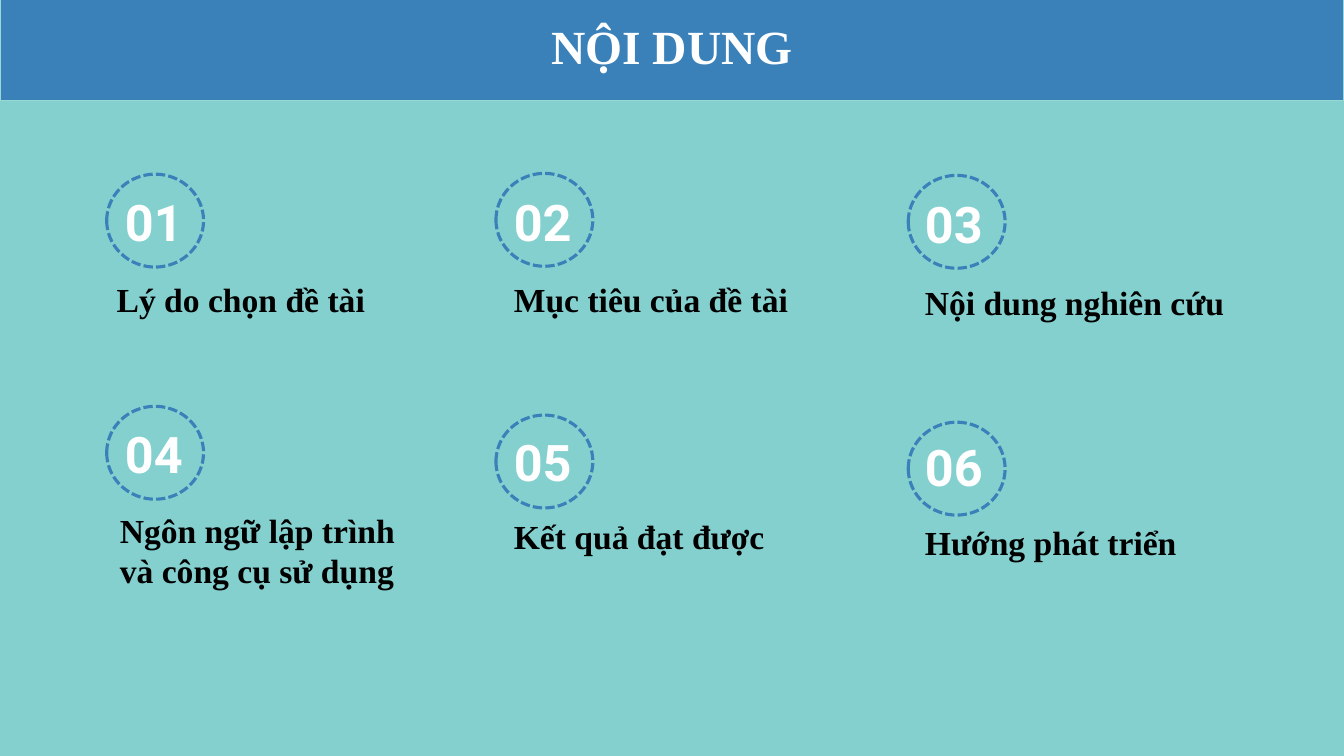
from lxml import etree
from pptx import Presentation
from pptx.dml.color import RGBColor
from pptx.enum.dml import MSO_LINE
from pptx.enum.shapes import MSO_SHAPE
from pptx.enum.text import MSO_ANCHOR, PP_ALIGN
from pptx.oxml.ns import qn
from pptx.util import Cm, Pt

RECTANGLE, OVAL = MSO_SHAPE.RECTANGLE, MSO_SHAPE.OVAL
DASH = MSO_LINE.SQUARE_DOT
TOP, BOTTOM = MSO_ANCHOR.TOP, MSO_ANCHOR.BOTTOM
LEFT, CENTER = PP_ALIGN.LEFT, PP_ALIGN.CENTER

SLIDE_WIDTH, SLIDE_HEIGHT = 33.87, 19.05
CIRCLE_WIDTH, CIRCLE_HEIGHT = 2.44, 2.34
NUMBER_WIDTH = 2.03
INSET = 0.25

TITLE_FORMAT = {"name": "Times New Roman", "size": Pt(34), "bold": True}
NUMBER_FORMAT = {"name": "Roboto", "size": Pt(36), "bold": True}
LABEL_FORMAT = {"name": "Times New Roman", "size": Pt(24), "bold": True}

CIRCLE_LEFTS = (2.69, 12.5, 22.89)
NUMBER_LEFTS = (2.9, 12.7, 23.06)

# Each topic: label, circle top, number (top, height), label box
TOPICS = (
    ("Lý do chọn đề tài", 4.39, (4.9, 1.7), (2.69, 6.78, 7.11, 1.75)),
    ("Mục tiêu của đề tài", 4.37, (4.9, 1.7), (12.7, 6.78, 7.47, 1.75)),
    ("Nội dung nghiên cứu", 4.42, (5.0, 1.63), (23.06, 6.86, 8.1, 1.68)),
    ("Ngôn ngữ lập trình và công cụ sử dụng", 10.24, (10.74, 1.7), (2.77, 12.6, 8.08, 1.63)),
    ("Kết quả đạt được", 10.46, (10.64, 2.01), (12.7, 12.75, 6.91, 2.44)),
    ("Hướng phát triển", 10.64, (10.52, 2.24), (23.06, 12.9, 6.93, 1.96)),
)


def color(value):
    """Return the colour of a hex string."""
    return RGBColor.from_string(value)


def add_outline(slide, kind, box, line_color, line_width):
    """Add an unfilled preset shape with a coloured line."""
    shape = slide.shapes.add_shape(kind, *map(Cm, box))
    shape.shadow.inherit = False
    shape.fill.background()
    shape.line.color.rgb = color(line_color)
    shape.line.width = Pt(line_width)
    return shape


def add_banner(slide):
    """Add the translucent band behind the title."""
    banner = add_outline(slide, RECTANGLE, (0, -0.1, SLIDE_WIDTH, 2.64), "98D8D5", 1)
    banner.fill.solid()
    banner.fill.fore_color.rgb = color("2E75B6")
    fill_color = banner.fill._xPr.find(qn("a:solidFill"))[0]
    etree.SubElement(fill_color, qn("a:alpha")).set("val", "86000")


def add_text(slide, text, box, font_format, font_color, alignment=LEFT, anchor=TOP):
    """Add a wrapped text box with one formatted paragraph."""
    frame = slide.shapes.add_textbox(*map(Cm, box)).text_frame
    frame.word_wrap = True
    frame.vertical_anchor = anchor
    for side in ("left", "top", "right", "bottom"):
        setattr(frame, f"margin_{side}", Cm(INSET))
    paragraph = frame.paragraphs[0]
    paragraph.alignment = alignment
    run = paragraph.add_run()
    run.text = text
    for name, value in font_format.items():
        setattr(run.font, name, value)
    run.font.color.rgb = color(font_color)


def add_topic(slide, index, label, circle_top, number_span, label_box):
    """Add one numbered topic with its dashed circle."""
    column = index % len(CIRCLE_LEFTS)
    number_top, number_height = number_span
    number_box = (NUMBER_LEFTS[column], number_top, NUMBER_WIDTH, number_height)
    add_text(slide, f"{index + 1:02d}", number_box, NUMBER_FORMAT, "FFFFFF", anchor=BOTTOM)
    add_text(slide, label, label_box, LABEL_FORMAT, "000000")
    circle_box = (CIRCLE_LEFTS[column], circle_top, CIRCLE_WIDTH, CIRCLE_HEIGHT)
    circle = add_outline(slide, OVAL, circle_box, "3B81B9", 2.25)
    circle.line.dash_style = DASH


def main():
    """Build the contents slide and save it."""
    presentation = Presentation()
    presentation.slide_width = Cm(SLIDE_WIDTH)
    presentation.slide_height = Cm(SLIDE_HEIGHT)
    slide = presentation.slides.add_slide(presentation.slide_layouts[6])
    slide.background.fill.solid()
    slide.background.fill.fore_color.rgb = color("84D0CF")
    add_banner(slide)
    add_text(slide, "NỘI DUNG", (0, 0.18, SLIDE_WIDTH, 1.88), TITLE_FORMAT, "FFFFFF", CENTER)
    for index, topic in enumerate(TOPICS):
        add_topic(slide, index, *topic)
    presentation.save("out.pptx")


if __name__ == "__main__":
    main()
